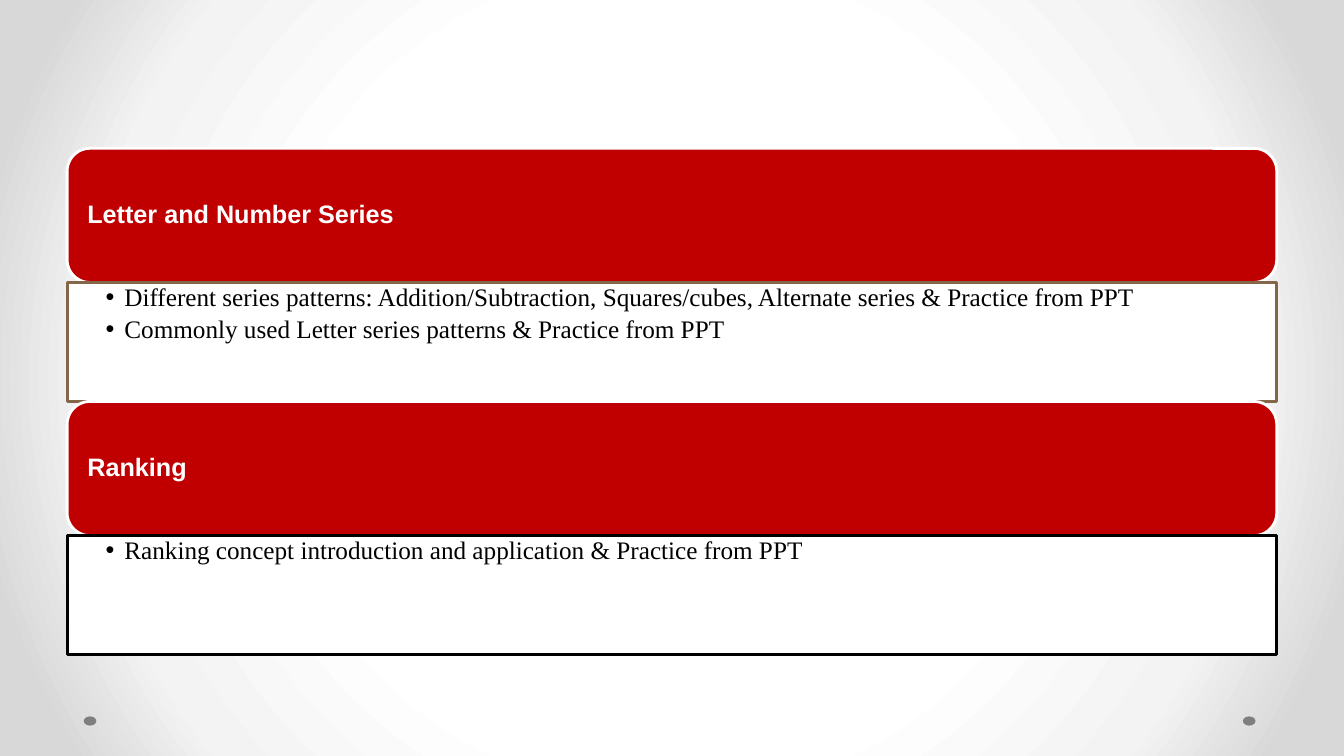
from lxml.etree import SubElement
from pptx import Presentation
from pptx.dml.color import RGBColor
from pptx.enum.shapes import MSO_SHAPE
from pptx.enum.text import MSO_ANCHOR, PP_ALIGN
from pptx.oxml import parse_xml
from pptx.oxml.ns import nsdecls, qn
from pptx.util import Pt

COLORS = {
    "red": "C00000", "white": "FFFFFF", "black": "000000",
    "brown": "846648", "dot": "7F7F7F", "pale": "F3F3F3", "edge": "D8D8D8",
}
BACKDROP = [(0, "white"), (50, "white"), (76, "pale"), (92, "edge"), (100, "edge")]
TOPICS = [
    ("Letter and Number Series", "brown", [
        "Different series patterns: Addition/Subtraction, Squares/cubes, "
        "Alternate series & Practice from PPT",
        "Commonly used Letter series patterns & Practice from PPT",
    ]),
    ("Ranking", "black", [
        "Ranking concept introduction and application & Practice from PPT",
    ]),
]
LEFT, TOP, WIDTH = 48, 106, 864
HEADER_H, BODY_H = 95.8, 85
HEADER_FONT = {"name": "Arial", "size": Pt(18), "bold": True}
BODY_FONT = {"name": "Times New Roman", "size": Pt(18), "bold": False}
HEADER_FRAME = {
    "word_wrap": True, "vertical_anchor": MSO_ANCHOR.MIDDLE,
    "margin_left": Pt(9.7), "margin_right": Pt(9.7),
    "margin_top": Pt(5), "margin_bottom": Pt(5),
}
BODY_FRAME = {
    "word_wrap": True, "vertical_anchor": MSO_ANCHOR.TOP,
    "margin_left": Pt(27.4), "margin_right": Pt(10),
    "margin_top": Pt(1.6), "margin_bottom": Pt(1.6),
}


def rgb(name):
    return RGBColor.from_string(COLORS[name])


def apply(target, values):
    for key, value in values.items():
        setattr(target, key, value)


def set_background(s):
    stops = "".join(
        f'<a:gs pos="{pos * 1000}"><a:srgbClr val="{COLORS[color]}"/></a:gs>'
        for pos, color in BACKDROP
    )
    bg = parse_xml(
        f'<p:bg {nsdecls("p", "a")}><p:bgPr><a:gradFill rotWithShape="1">'
        f'<a:gsLst>{stops}</a:gsLst><a:path path="circle">'
        '<a:fillToRect l="50000" t="50000" r="50000" b="50000"/></a:path>'
        '</a:gradFill><a:effectLst/></p:bgPr></p:bg>'
    )
    s.element.find(qn("p:cSld")).insert(0, bg)


def add_box(s, kind, left, top, width, height, fill, line=None):
    sp = s.shapes.add_shape(kind, Pt(left), Pt(top), Pt(width), Pt(height))
    sp.shadow.inherit = False
    sp.fill.solid()
    sp.fill.fore_color.rgb = rgb(fill)
    if line:
        sp.line.color.rgb = rgb(line)
        sp.line.width = Pt(2)
    else:
        sp.line.fill.background()
    return sp


def add_bullet(p):
    pPr = p._p.get_or_add_pPr()
    pPr.set("marL", str(Pt(13.5)))
    pPr.set("indent", str(-Pt(13.5)))
    SubElement(pPr, qn("a:buFont"), typeface="Arial")
    SubElement(pPr, qn("a:buChar"), char="•")


def write(sp, lines, frame, font, color, bullets=False):
    tf = sp.text_frame
    apply(tf, frame)
    for i, line in enumerate(lines):
        p = tf.add_paragraph() if i else tf.paragraphs[0]
        if bullets:
            add_bullet(p)
        apply(p, {"alignment": PP_ALIGN.LEFT, "line_spacing": 0.9})
        if i:
            p.space_before = Pt(3.6)
        r = p.add_run()
        r.text = line
        apply(r.font, font)
        r.font.color.rgb = rgb(color)


def add_topic(s, top, title, border, points):
    header = add_box(s, MSO_SHAPE.ROUNDED_RECTANGLE, LEFT, top, WIDTH, HEADER_H,
                     "red", "white")
    header.adjustments[0] = 0.17
    write(header, [title], HEADER_FRAME, HEADER_FONT, "white")
    body = add_box(s, MSO_SHAPE.RECTANGLE, LEFT, top + HEADER_H, WIDTH, BODY_H,
                   "white", border)
    write(body, points, BODY_FRAME, BODY_FONT, "black", bullets=True)


def main():
    prs = Presentation()
    prs.slide_width, prs.slide_height = Pt(960), Pt(540)
    s = prs.slides.add_slide(prs.slide_layouts[6])
    set_background(s)
    for left in (59.8, 887.8):
        add_box(s, MSO_SHAPE.OVAL, left, 511.7, 9, 6.6, "dot")
    for i, topic in enumerate(TOPICS):
        add_topic(s, TOP + i * (HEADER_H + BODY_H), *topic)
    prs.save("out.pptx")


if __name__ == "__main__":
    main()
